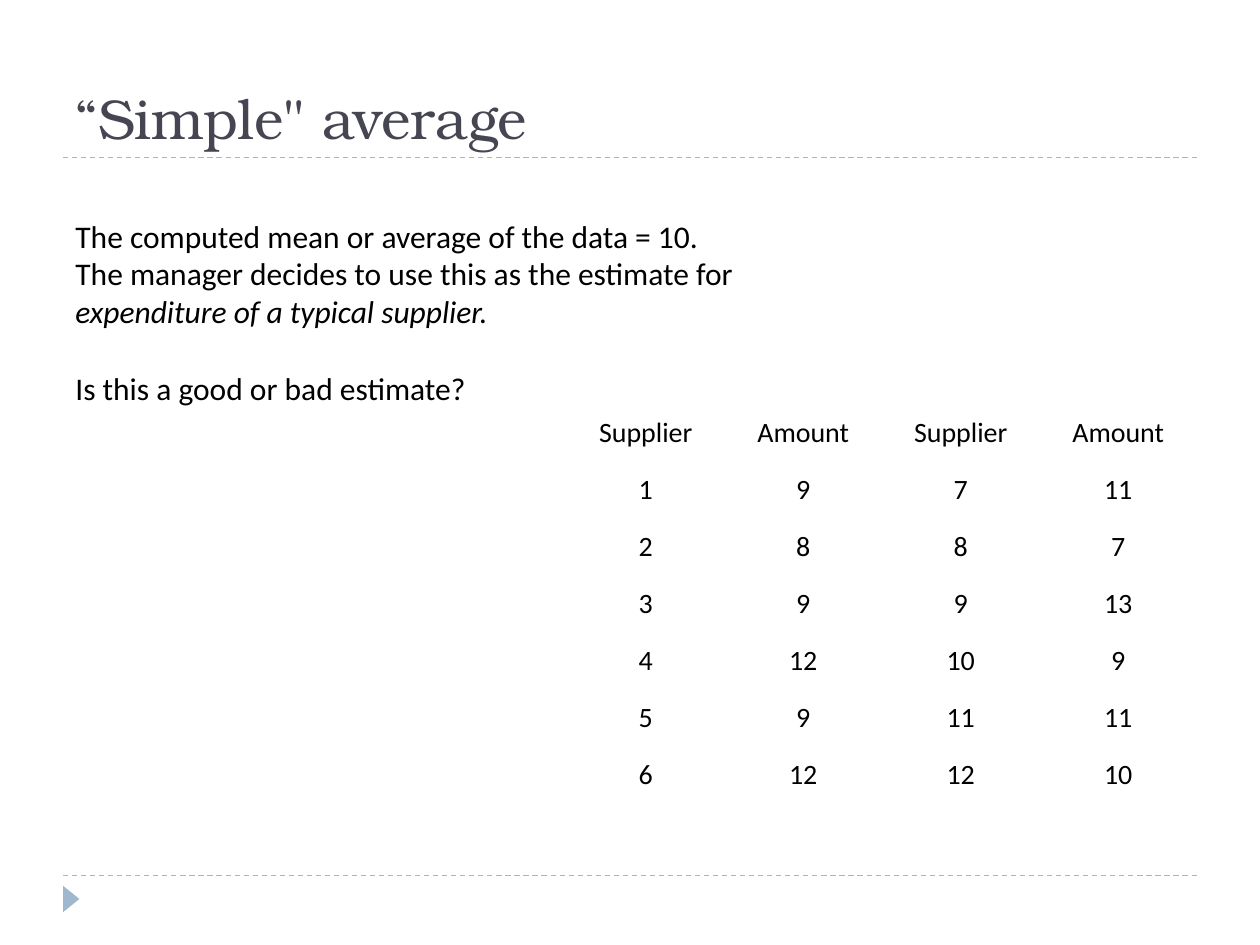
from typing import NamedTuple

from pptx import Presentation
from pptx.dml.color import RGBColor
from pptx.enum import dml, shapes, text
from pptx.oxml.ns import qn
from pptx.util import Inches, Pt
from lxml import etree

ACCENT = RGBColor(0x9F, 0xB8, 0xCD)
TITLE_COLOR = RGBColor(0x46, 0x46, 0x53)
BLACK = RGBColor(0, 0, 0)
TITLE_FONT = "TeX Gyre Bonum"
BODY_FONT = "Calibri"

RULE_HEIGHTS = (6.95, 1.25)
HEADER = ("Supplier", "Amount")
AMOUNTS = (9, 8, 9, 12, 9, 12, 11, 7, 13, 9, 11, 10)
HALF = len(AMOUNTS) // 2


class Phrase(NamedTuple):
    wording: str
    italic: bool = False


class Statement(NamedTuple):
    phrases: tuple[Phrase, ...]
    space_before: int = 0


STATEMENTS = (
    Statement((Phrase("The computed mean or average of the data = 10."),)),
    Statement((
        Phrase("The manager decides to use this as the estimate for "),
        Phrase("expenditure of a typical supplier.", italic=True),
    )),
    Statement((Phrase("Is this a good or bad estimate?"),), space_before=22),
)


def style_font(font, name: str, size: int, color: RGBColor) -> None:
    font.name = name
    font.size = Pt(size)
    font.color.rgb = color


def add_rule(slide, y: float) -> None:
    rule = slide.shapes.add_connector(
        shapes.MSO_CONNECTOR.STRAIGHT, Inches(0.5), Inches(y), Inches(9.5), Inches(y))
    rule.line.color.rgb = ACCENT
    rule.line.width = Pt(0.75)
    rule.line.dash_style = dml.MSO_LINE.DASH
    etree.SubElement(rule._element.spPr, qn("a:effectLst"))


def add_corner_marker(slide) -> None:
    marker = slide.shapes.add_shape(
        shapes.MSO_SHAPE.ISOSCELES_TRIANGLE,
        Inches(0.46), Inches(7.07), Inches(0.21), Inches(0.13))
    marker.rotation = 90
    marker.shadow.inherit = False
    marker.fill.solid()
    marker.fill.fore_color.rgb = ACCENT
    marker.line.fill.background()


def set_title(slide, wording: str) -> None:
    title = slide.shapes.title
    title.left, title.top = Inches(0.5), Inches(0.17)
    title.width, title.height = Inches(9), Inches(1.08)
    frame = title.text_frame
    frame.text = wording
    frame.auto_size = text.MSO_AUTO_SIZE.NONE
    frame.vertical_anchor = text.MSO_ANCHOR.BOTTOM
    heading = frame.paragraphs[0]
    heading.alignment = text.PP_ALIGN.LEFT
    style_font(heading.runs[0].font, TITLE_FONT, 32, TITLE_COLOR)


def add_statements(slide, statements: tuple[Statement, ...]) -> None:
    frame = slide.shapes.add_textbox(
        Inches(0.5), Inches(1.67), Inches(5.42), Inches(1.92)).text_frame
    frame.word_wrap = True
    for i, statement in enumerate(statements):
        paragraph = frame.add_paragraph() if i else frame.paragraphs[0]
        paragraph.space_before = Pt(statement.space_before)
        for phrase in statement.phrases:
            run = paragraph.add_run()
            run.text = phrase.wording
            style_font(run.font, BODY_FONT, 18, BLACK)
            run.font.italic = phrase.italic


def add_supplier_table(slide) -> None:
    """Lists the suppliers in two side-by-side halves."""
    rows = [HEADER * 2]
    for i in range(HALF):
        rows.append((i + 1, AMOUNTS[i], i + 1 + HALF, AMOUNTS[i + HALF]))
    table = slide.shapes.add_table(
        len(rows), len(rows[0]), Inches(4.5), Inches(3.25),
        Inches(5), Inches(3.17)).table
    table.first_row = False
    table.horz_banding = False
    for r, values in enumerate(rows):
        for c, value in enumerate(values):
            cell = table.cell(r, c)
            cell.fill.background()
            cell.text = str(value)
            paragraph = cell.text_frame.paragraphs[0]
            paragraph.alignment = text.PP_ALIGN.CENTER
            style_font(paragraph.runs[0].font, BODY_FONT, 16, BLACK)


def main() -> None:
    deck = Presentation()
    deck.slide_width, deck.slide_height = Inches(10), Inches(7.5)
    slide = deck.slides.add_slide(deck.slide_layouts.get_by_name("Title Only"))
    for y in RULE_HEIGHTS:
        add_rule(slide, y)
    add_corner_marker(slide)
    set_title(slide, "“Simple\" average")
    add_statements(slide, STATEMENTS)
    add_supplier_table(slide)
    deck.save("out.pptx")


if __name__ == "__main__":
    main()
